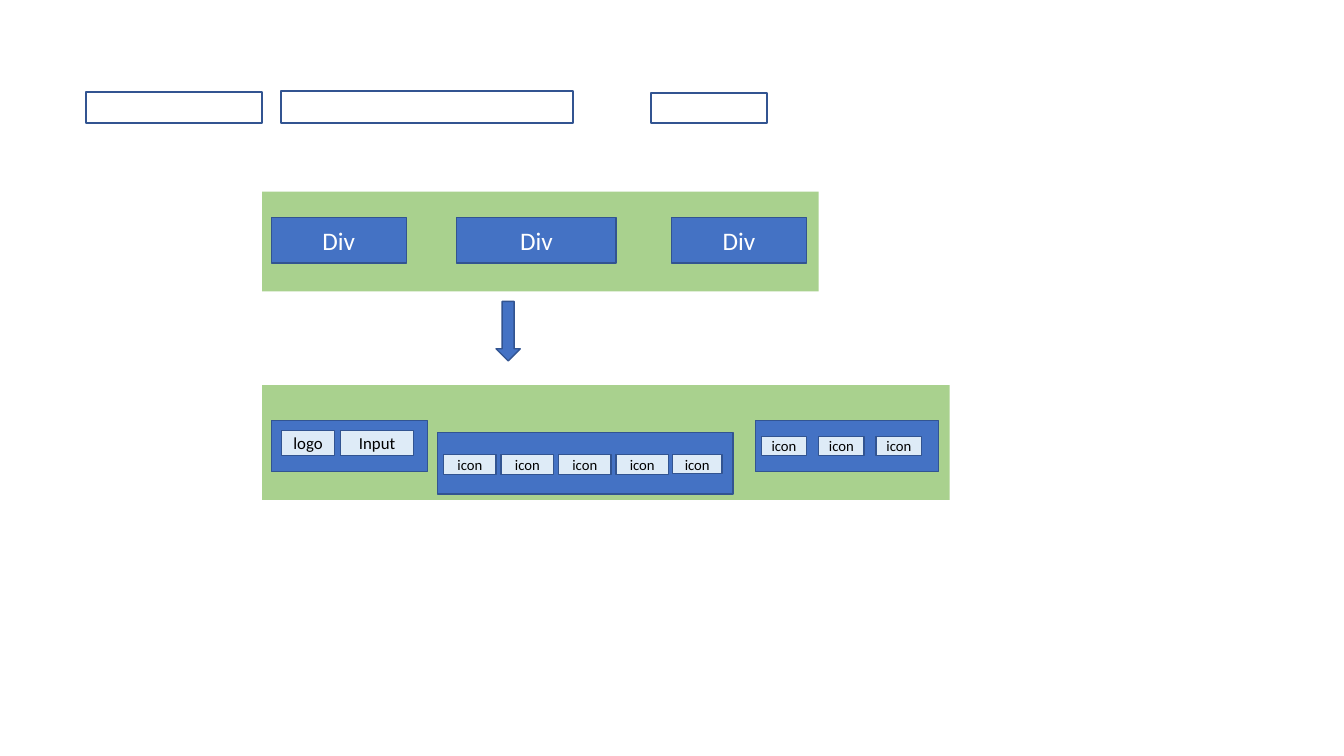
from pptx import Presentation
from pptx import util as u
from pptx.dml.color import RGBColor
from pptx.enum import shapes, text

EMU_PER_PX = 9144
GREEN = RGBColor(0xA9, 0xD1, 0x8E)
BLUE = RGBColor(0x44, 0x72, 0xC4)
NAVY = RGBColor(0x32, 0x54, 0x91)
PALE = RGBColor(0xDE, 0xEB, 0xF7)
WHITE = RGBColor(0xFF, 0xFF, 0xFF)
BLACK = RGBColor(0x00, 0x00, 0x00)


def px(length):
    return u.Emu(length * EMU_PER_PX)


def write(shape, words, size=18, color=WHITE, font="Calibri"):
    frame = shape.text_frame
    frame.margin_left = frame.margin_right = 0
    frame.margin_top = frame.margin_bottom = 0
    frame.word_wrap = False
    frame.vertical_anchor = text.MSO_ANCHOR.MIDDLE
    paragraph = frame.paragraphs[0]
    paragraph.alignment = text.PP_ALIGN.CENTER
    run = paragraph.add_run()
    run.text = words
    run.font.name = font
    run.font.size = u.Pt(size)
    run.font.color.rgb = color


class LayoutSketch:
    def __init__(self, presentation):
        self.slide = presentation.slides.add_slide(presentation.slide_layouts[6])

    def draw(self, left, top, width, height, fill=BLUE, line=NAVY, weight=1,
             kind=shapes.MSO_SHAPE.RECTANGLE):
        shape = self.slide.shapes.add_shape(
            kind, px(left), px(top), px(width), px(height))
        shape.shadow.inherit = False
        if fill is None:
            shape.fill.background()
        else:
            shape.fill.solid()
            shape.fill.fore_color.rgb = fill
        if line is None:
            shape.line.fill.background()
        else:
            shape.line.color.rgb = line
            shape.line.width = u.Pt(weight)
        return shape

    def band(self, left, top, width, height):
        self.draw(left, top, width, height, fill=GREEN, line=None)

    def div(self, left, top, width, height, words=None):
        shape = self.draw(left, top, width, height)
        if words:
            write(shape, words)

    def item(self, left, top, width, height, words, size=10.5):
        shape = self.draw(left, top, width, height, fill=PALE)
        write(shape, words, size=size, color=BLACK)

    def outline(self, left, top, width, height):
        self.draw(left, top, width, height, fill=None, weight=1.5)

    def down_arrow(self, left, top, width, height):
        self.draw(left, top, width, height, kind=shapes.MSO_SHAPE.DOWN_ARROW)


def main():
    presentation = Presentation()
    presentation.slide_width = px(1333)
    presentation.slide_height = px(750)
    sketch = LayoutSketch(presentation)

    sketch.band(260, 190, 552, 99)
    for left, width in ((269, 134), (453, 158), (666, 134)):
        sketch.div(left, 216, width, 45, "Div")

    sketch.down_arrow(492, 299, 24, 59)

    sketch.band(260, 382, 682, 114)
    sketch.div(269, 417, 155, 51)
    sketch.item(279, 427, 53, 25, "logo", size=12)
    sketch.item(338, 427, 72, 25, "Input", size=12)

    sketch.div(434, 429, 293, 61)
    for index in range(4):
        sketch.item(440 + 57 * index, 451, 52, 20, "icon")
    sketch.item(667, 451, 49, 19, "icon")

    sketch.div(749, 417, 182, 51)
    for index in range(3):
        sketch.item(755 + 57 * index, 433, 45, 19, "icon")

    sketch.outline(85, 91, 175, 31)
    sketch.outline(279, 90, 289, 32)
    sketch.outline(646, 92, 115, 30)

    presentation.save("out.pptx")


if __name__ == "__main__":
    main()
